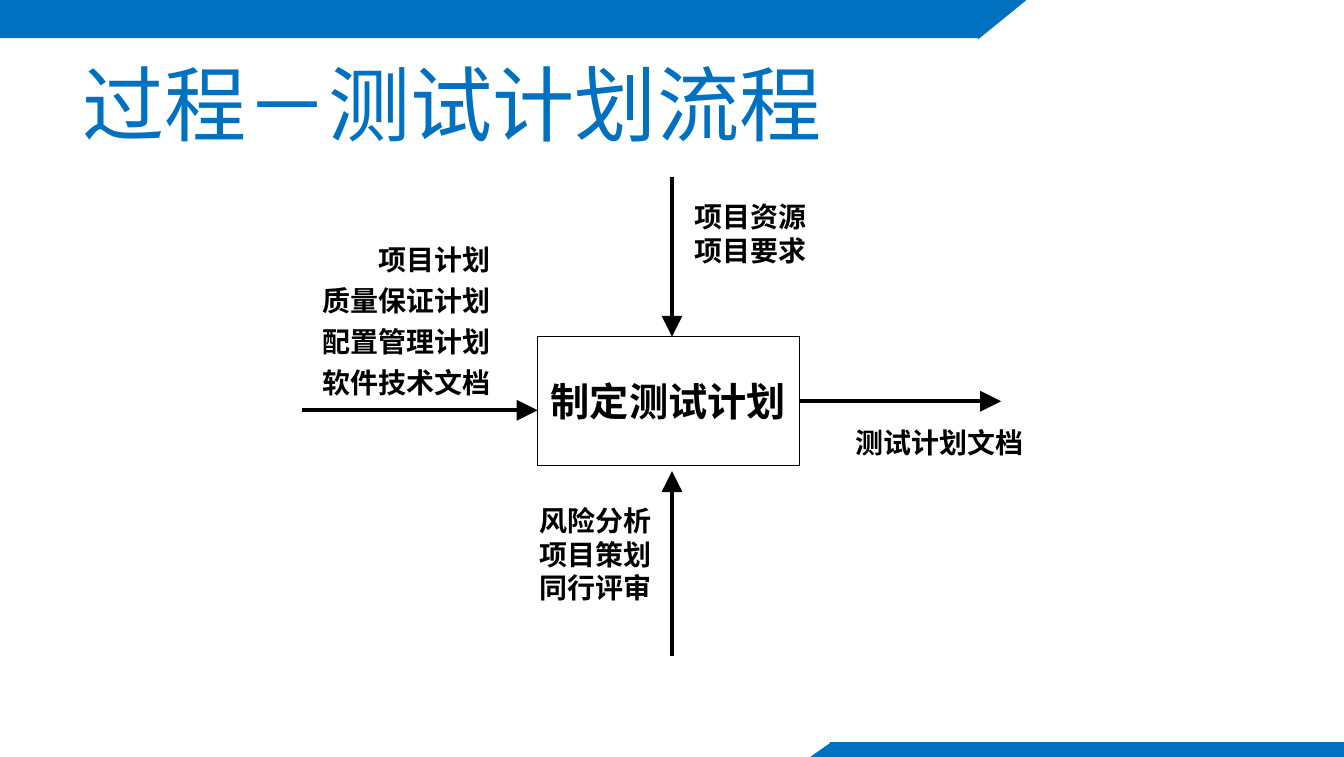
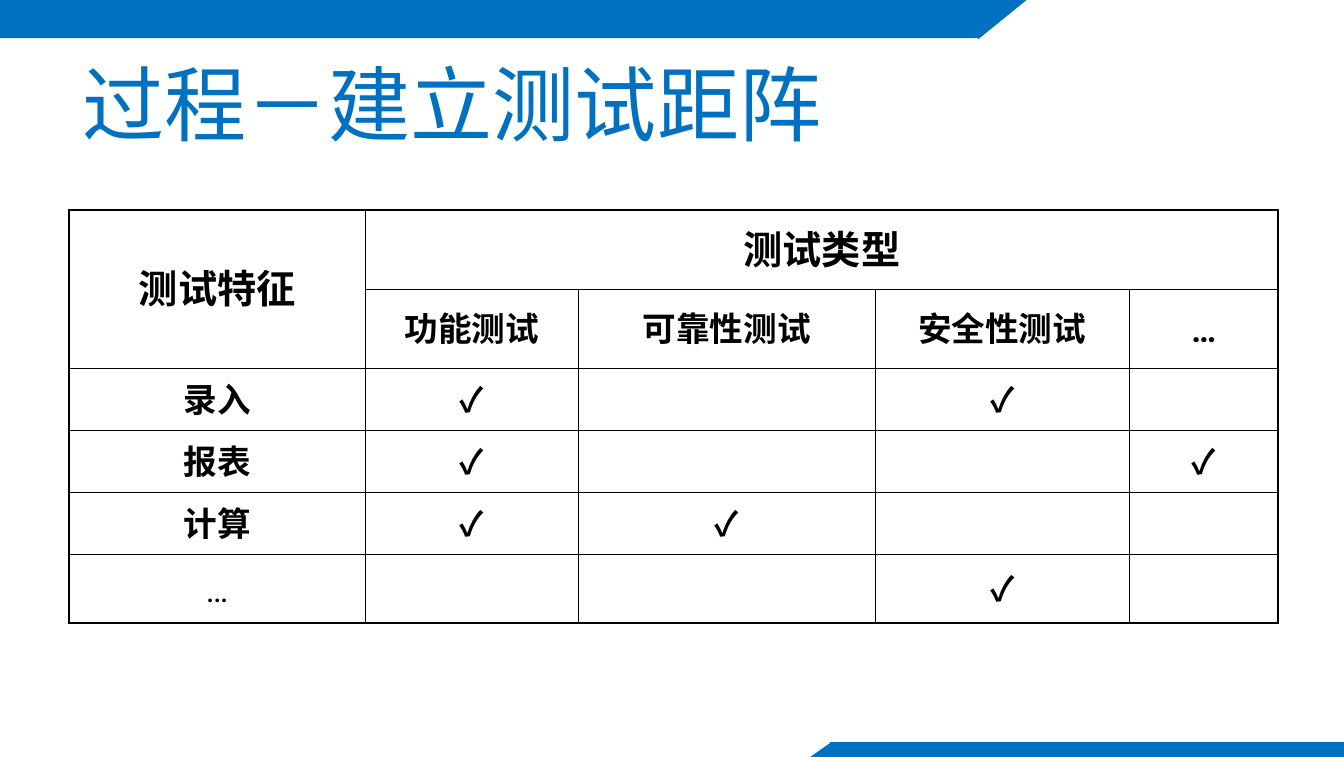
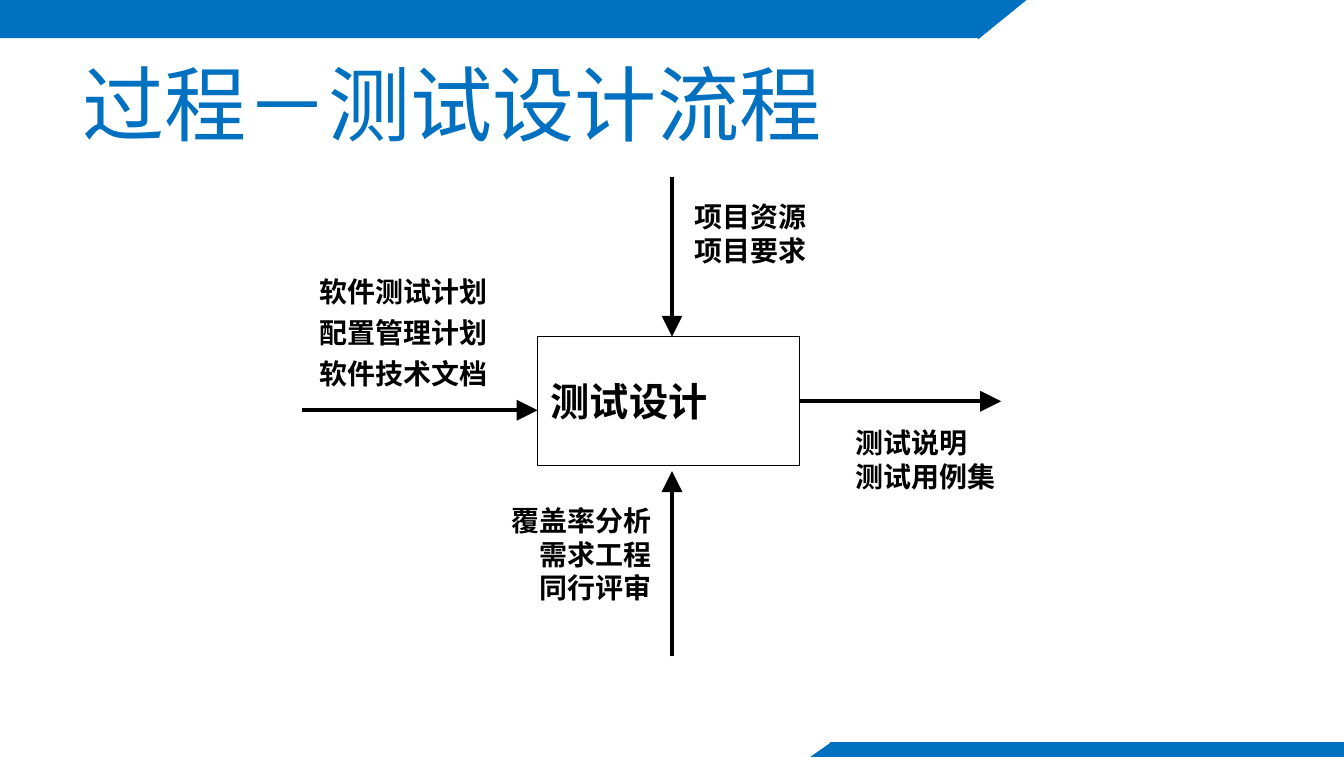
from pptx import Presentation
from pptx.dml.color import RGBColor
from pptx.enum.shapes import MSO_CONNECTOR, MSO_SHAPE
from pptx.enum.text import MSO_ANCHOR, MSO_AUTO_SIZE, PP_ALIGN
from pptx.oxml.ns import qn
from pptx.util import Cm, Pt
from lxml.etree import SubElement

BLUE = RGBColor(0x00, 0x70, 0xC0)
WHITE = RGBColor(0xFF, 0xFF, 0xFF)
BLACK = RGBColor(0x00, 0x00, 0x00)

TITLE_FONT = "Montserrat"
DIAGRAM_FONT = "Times New Roman"
TABLE_FONT = "Roboto"
CJK_FONT = "Noto Sans CJK JP"

PAGE_WIDTH, PAGE_HEIGHT = 25.4, 14.3
TITLE_BOX = (1.3, 0.74, 22.86, 2.39)
PROCESS_BOX = (10.16, 6.36, 4.95, 2.44)
MATRIX_BOX = (1.3, 3.96)

LABEL_SIZE = 15
LINE_FACTOR = 1.2
CM_PER_POINT = 2.54 / 72
INSET_X, INSET_Y = 0.25, 0.13

MARK = "✓"
COLUMN_WIDTHS = (5.61, 4.02, 5.61, 4.8, 2.82)
ROW_HEIGHTS = (1.5, 1.5, 1.17, 1.17, 1.17, 1.3)
MATRIX = (
    ("测试特征", "测试类型", "", "", ""),
    ("", "功能测试", "可靠性测试", "安全性测试", "…"),
    ("录入", MARK, "", MARK, ""),
    ("报表", MARK, "", "", MARK),
    ("计算", MARK, MARK, "", ""),
    ("…", "", "", MARK, ""),
)


def lengths(values):
    return [Cm(value) for value in values]


def write(para, text, font, size, color=BLACK, bold=True, align=PP_ALIGN.LEFT):
    para.alignment = align
    para.line_spacing = Pt(size * LINE_FACTOR)
    span = para.add_run()
    span.text = text
    span.font.name = font
    span.font.size = Pt(size)
    span.font.bold = bold
    span.font.color.rgb = color
    SubElement(span.font._element, qn("a:ea")).set("typeface", CJK_FONT)


def set_insets(frame):
    frame.margin_left = frame.margin_right = Cm(INSET_X)
    frame.margin_top = frame.margin_bottom = Cm(INSET_Y)


def decorate_layout(layout, page):
    for holder in list(layout.placeholders):
        if holder.placeholder_format.idx != 0:
            holder.element.getparent().remove(holder.element)
    bands = (
        (MSO_SHAPE.RECTANGLE, (0, 0, PAGE_WIDTH, 0.72), 0, BLUE),
        (MSO_SHAPE.RECTANGLE, (18.49, 0, 6.91, 0.97), 0, WHITE),
        (MSO_SHAPE.RECTANGLE, (15.69, 14.02, 9.75, 0.3), 0, BLUE),
        (MSO_SHAPE.RIGHT_TRIANGLE, (18.57, -0.08, 0.74, 0.91), 90, BLUE),
        (MSO_SHAPE.RIGHT_TRIANGLE, (15.34, 13.97, 0.3, 0.41), 271, BLUE),
    )
    shapes = []
    for kind, box, angle, color in bands:
        band = page.shapes.add_shape(kind, *lengths(box))
        band.rotation = angle
        band.shadow.inherit = False
        band.fill.solid()
        band.fill.fore_color.rgb = color
        band.line.fill.background()
        shapes.append(band)
    for band in shapes:
        layout.shapes.element.append(band.element)


def add_title(page, text):
    title = page.shapes.title
    title.left, title.top, title.width, title.height = lengths(TITLE_BOX)
    frame = title.text_frame
    frame.vertical_anchor = MSO_ANCHOR.MIDDLE
    write(frame.paragraphs[0], text, TITLE_FONT, 44, BLUE, False)


def add_arrow(page, start, end):
    arrow = page.shapes.add_connector(
        MSO_CONNECTOR.STRAIGHT, *lengths(start + end))
    arrow.line.color.rgb = BLACK
    arrow.line.width = Pt(2.25)
    head = SubElement(arrow.line._get_or_add_ln(), qn("a:tailEnd"))
    for name, value in (("type", "triangle"), ("w", "lg"), ("len", "lg")):
        head.set(name, value)
    SubElement(arrow.element.spPr, qn("a:effectLst"))
    return arrow


def add_label(page, x, top, lines, align=PP_ALIGN.LEFT, gap=0):
    width = max(map(len, lines)) * LABEL_SIZE * CM_PER_POINT + 2 * INSET_X
    points = len(lines) * LABEL_SIZE * LINE_FACTOR + (len(lines) - 1) * gap
    height = points * CM_PER_POINT + 2 * INSET_Y
    left = x - width if align == PP_ALIGN.RIGHT else x
    label = page.shapes.add_textbox(*lengths((left, top, width, height)))
    frame = label.text_frame
    set_insets(frame)
    frame.word_wrap = False
    frame.auto_size = MSO_AUTO_SIZE.SHAPE_TO_FIT_TEXT
    for index, line in enumerate(lines):
        para = frame.add_paragraph() if index else frame.paragraphs[0]
        if index and gap:
            para.space_before = Pt(gap)
        write(para, line, DIAGRAM_FONT, LABEL_SIZE, align=align)


def add_process(page, box, name, inputs, input_offset, controls, methods, outputs):
    left, top, width, height = box
    right, bottom = left + width, top + height
    axis, middle = left + 2.54, top + height / 2

    process = page.shapes.add_shape(
        MSO_SHAPE.FLOWCHART_PROCESS, *lengths(box))
    process.shadow.inherit = False
    process.fill.background()
    process.line.color.rgb = BLACK
    process.line.width = Pt(0.75)
    frame = process.text_frame
    set_insets(frame)
    frame.word_wrap = False
    frame.vertical_anchor = MSO_ANCHOR.MIDDLE
    write(frame.paragraphs[0], name, DIAGRAM_FONT, 21)

    add_arrow(page, (left - 4.45, top + 1.39), (left, top + 1.39))
    add_arrow(page, (axis, bottom + 3.6), (axis, bottom + 0.1))
    add_arrow(page, (axis, top - 3.02), (axis, top))
    output_arrow = add_arrow(page, (right, middle), (right + 3.81, middle))
    output_arrow.begin_connect(process, 3)

    input_gap, input_rise = input_offset
    add_label(page, left - input_gap, top - input_rise, inputs,
              PP_ALIGN.RIGHT, 3.8)
    add_label(page, axis + 0.18, top - 2.72, controls)
    add_label(page, axis - 0.13, bottom + 0.58, methods, PP_ALIGN.RIGHT)
    add_label(page, right + 0.81, middle + 0.33, outputs)


def set_borders(cell, outer_sides):
    properties = cell._tc.get_or_add_tcPr()
    for side in "LRTB":
        border = SubElement(properties, qn(f"a:ln{side}"))
        border.set("w", str(Pt(1.08 if side in outer_sides else 0.45)))
        fill = SubElement(border, qn("a:solidFill"))
        SubElement(fill, qn("a:srgbClr")).set("val", str(BLACK))


def fill_cell(cell, text, row):
    cell.vertical_anchor = MSO_ANCHOR.MIDDLE
    cell.margin_left = cell.margin_right = Cm(INSET_X)
    cell.margin_top = cell.margin_bottom = Cm(INSET_Y)
    if text:
        cell.margin_top = Cm(0.22)
        font = CJK_FONT if text == MARK else TABLE_FONT
        bold = not (text == "…" and row == len(MATRIX) - 1)
        write(cell.text_frame.paragraphs[0], text, font,
              21 if row == 0 else 18, bold=bold, align=PP_ALIGN.CENTER)


def add_matrix(page, corner):
    size = (sum(COLUMN_WIDTHS), sum(ROW_HEIGHTS))
    row_count, column_count = len(ROW_HEIGHTS), len(COLUMN_WIDTHS)
    table = page.shapes.add_table(
        row_count, column_count, *lengths(corner + size)).table
    table.first_row = table.horz_banding = False
    for column, width in zip(table.columns, COLUMN_WIDTHS):
        column.width = Cm(width)
    for row, height in zip(table.rows, ROW_HEIGHTS):
        row.height = Cm(height)
    table.cell(0, 0).merge(table.cell(1, 0))
    table.cell(0, 1).merge(table.cell(0, column_count - 1))
    for row, texts in enumerate(MATRIX):
        for column, text in enumerate(texts):
            cell = table.cell(row, column)
            edges = {
                "L": column == 0,
                "R": column + cell.span_width == column_count,
                "T": row == 0,
                "B": row + cell.span_height == row_count,
            }
            set_borders(cell, [side for side, outer in edges.items() if outer])
            cell.fill.background()
            fill_cell(cell, text, row)


def main():
    deck = Presentation()
    deck.slide_width, deck.slide_height = lengths((PAGE_WIDTH, PAGE_HEIGHT))
    layout = deck.slide_layouts[5]
    plan, matrix, design = [deck.slides.add_slide(layout) for _ in range(3)]
    decorate_layout(layout, plan)

    add_title(plan, "过程－测试计划流程")
    add_process(
        plan, PROCESS_BOX, "制定测试计划",
        inputs=("项目计划", "质量保证计划", "配置管理计划", "软件技术文档"),
        input_offset=(0.64, 1.9),
        controls=("项目资源", "项目要求"),
        methods=("风险分析", "项目策划", "同行评审"),
        outputs=("测试计划文档",))

    add_title(matrix, "过程－建立测试距阵")
    add_matrix(matrix, MATRIX_BOX)

    add_title(design, "过程－测试设计流程")
    add_process(
        design, PROCESS_BOX, "测试设计",
        inputs=("软件测试计划", "配置管理计划", "软件技术文档"),
        input_offset=(0.69, 1.3),
        controls=("项目资源", "项目要求"),
        methods=("覆盖率分析", "需求工程", "同行评审"),
        outputs=("测试说明", "测试用例集"))

    deck.save("out.pptx")


if __name__ == "__main__":
    main()
